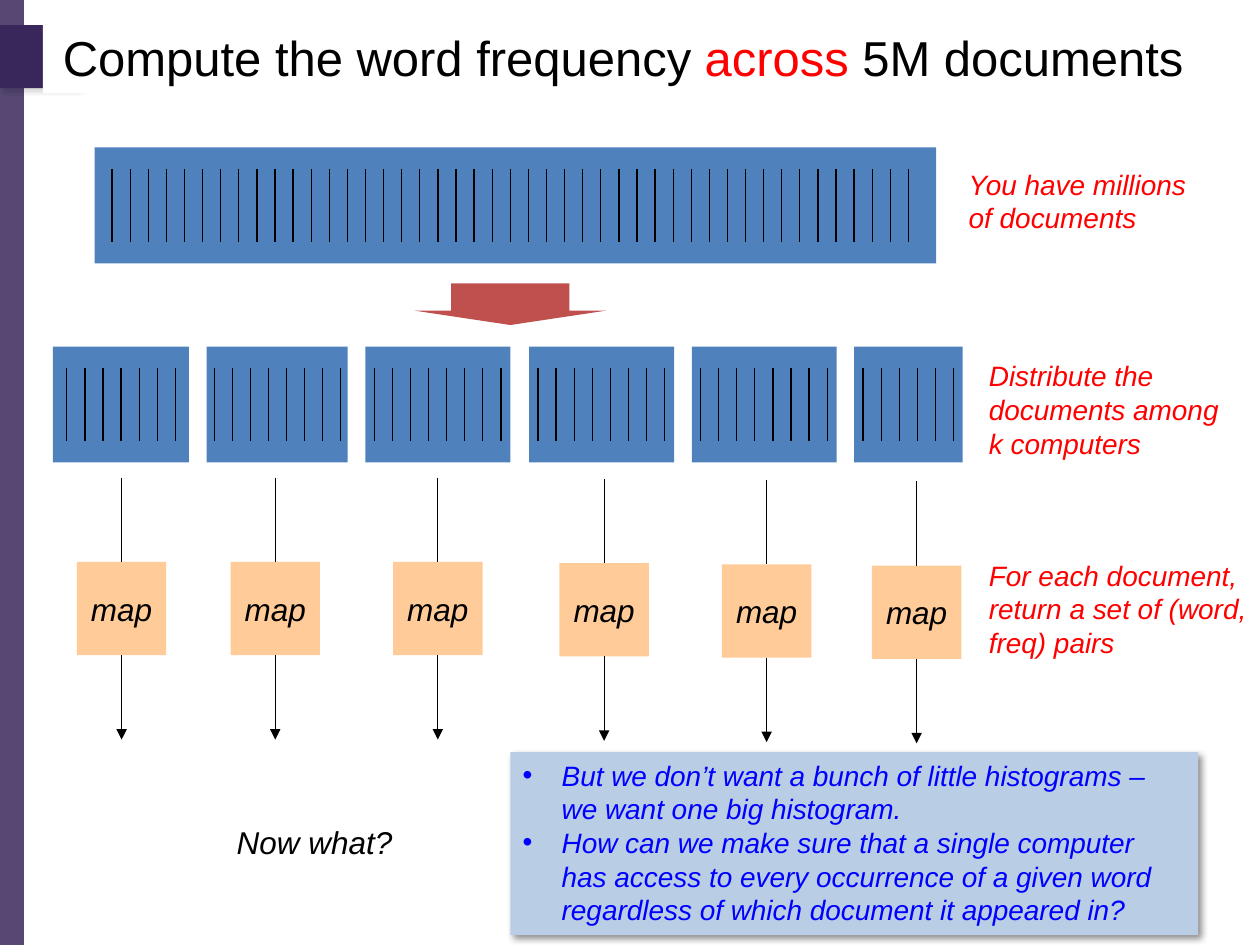
from lxml import etree
from pptx import Presentation
from pptx.dml.color import RGBColor
from pptx.enum.shapes import MSO_CONNECTOR, MSO_SHAPE
from pptx.enum.text import MSO_ANCHOR, MSO_AUTO_SIZE, PP_ALIGN
from pptx.oxml.ns import qn
from pptx.util import Inches, Pt

RECTANGLE, DOWN_ARROW = MSO_SHAPE.RECTANGLE, MSO_SHAPE.DOWN_ARROW
STRAIGHT = MSO_CONNECTOR.STRAIGHT
TOP, MIDDLE = MSO_ANCHOR.TOP, MSO_ANCHOR.MIDDLE
LEFT, CENTER = PP_ALIGN.LEFT, PP_ALIGN.CENTER
TOP_SIDE, BOTTOM_SIDE = 0, 2

BLACK = RGBColor(0x00, 0x00, 0x00)
WHITE = RGBColor(0xFF, 0xFF, 0xFF)
RED = RGBColor(0xFF, 0x00, 0x00)
BLUE = RGBColor(0x00, 0x00, 0xFF)
PURPLE = RGBColor(0x39, 0x27, 0x5B)
STEEL = RGBColor(0x4F, 0x81, 0xBD)
BRICK = RGBColor(0xC0, 0x50, 0x4D)
PEACH = RGBColor(0xFF, 0xCC, 0x99)
PALE_BLUE = RGBColor(0xB9, 0xCD, 0xE5)

TICK_STEP = 6.32 / 44
TICK_HEIGHT = 0.58
ARROW_LENGTH = 0.67
MAP_WIDTH, MAP_HEIGHT = 0.71, 0.74

# Document piles: left, width, first tick, number of ticks
PILES = [
    (0.42, 1.08, 0.53, 7),
    (1.64, 1.12, 1.70, 8),
    (2.90, 1.15, 2.97, 8),
    (4.20, 1.15, 4.27, 8),
    (5.49, 1.15, 5.56, 8),
    (6.78, 0.86, 6.85, 6),
]
# Map boxes: left, top
MAPS = [(0.61, 4.46), (1.83, 4.46), (3.12, 4.46),
        (4.44, 4.47), (5.73, 4.48), (6.92, 4.49)]
# Notes beside the rows: left, top, width, height, text
NOTES = [
    (7.59, 1.28, 2.07, 0.64, "You have millions of documents"),
    (7.75, 2.80, 2.09, 0.91, "Distribute the documents among k computers"),
    (7.75, 4.38, 2.25, 0.91,
     "For each document, return a set of (word, freq) pairs"),
]
QUESTIONS = [
    "But we don’t want a bunch of little histograms – we want one big histogram.",
    "How can we make sure that a single computer has access to every occurrence "
    "of a given word regardless of which document it appeared in?",
]


def write_text(shape, paragraphs, size=16, color=BLACK, italic=True,
               align=LEFT, anchor=TOP, wrap=True, bullet=False):
    """Each paragraph is a list of (text, colour) runs, or a plain string."""
    frame = shape.text_frame
    frame.auto_size = MSO_AUTO_SIZE.NONE
    frame.word_wrap = wrap
    frame.vertical_anchor = anchor
    for index, runs in enumerate(paragraphs):
        paragraph = frame.add_paragraph() if index else frame.paragraphs[0]
        paragraph.alignment = align
        for text, run_color in [(runs, color)] if isinstance(runs, str) else runs:
            run = paragraph.add_run()
            run.text = text
            run.font.name = "Arial"
            run.font.size = Pt(size)
            run.font.italic = italic
            run.font.color.rgb = run_color
        if bullet:
            properties = paragraph._p.get_or_add_pPr()
            properties.set("marL", str(Inches(0.31)))
            properties.set("indent", str(-Inches(0.31)))
            etree.SubElement(properties, qn("a:buFont"), typeface="Arial")
            etree.SubElement(properties, qn("a:buChar"), char="•")


def add_block(slide, left, top, width, height, color, kind=RECTANGLE):
    shape = slide.shapes.add_shape(
        kind, Inches(left), Inches(top), Inches(width), Inches(height))
    shape.shadow.inherit = False
    shape.fill.solid()
    shape.fill.fore_color.rgb = color
    shape.line.fill.background()
    return shape


def add_note(slide, left, top, width, height, text, **text_format):
    box = slide.shapes.add_textbox(
        Inches(left), Inches(top), Inches(width), Inches(height))
    write_text(box, [text], **text_format)


def add_line(slide, x, top, bottom, arrow=False):
    line = slide.shapes.add_connector(
        STRAIGHT, Inches(x), Inches(top), Inches(x), Inches(bottom))
    line.line.color.rgb = BLACK
    line.line.width = Pt(0.75)
    if arrow:
        etree.SubElement(line.line._get_or_add_ln(), qn("a:tailEnd"), type="triangle")
    etree.SubElement(line._element.spPr, qn("a:effectLst"))
    return line


def add_shadow(shape, opacity, blur, distance, angle):
    effects = shape._element.spPr.find(qn("a:effectLst"))
    shadow = etree.SubElement(
        effects, qn("a:outerShdw"), blurRad=str(Pt(blur)), dist=str(Pt(distance)),
        dir=str(angle * 60000), algn="tl", rotWithShape="0")
    color = etree.SubElement(shadow, qn("a:srgbClr"), val=str(BLACK))
    etree.SubElement(color, qn("a:alpha"), val=str(opacity * 1000))


def add_pile(slide, left, top, width, first_tick, count):
    add_block(slide, left, top, width, 0.92, STEEL)
    for index in range(count):
        add_line(slide, first_tick + index * TICK_STEP,
                 top + 0.17, top + 0.17 + TICK_HEIGHT)


def add_map(slide, left, top):
    box = add_block(slide, left, top, MAP_WIDTH, MAP_HEIGHT, PEACH)
    write_text(box, ["map"], size=18, align=CENTER, anchor=MIDDLE, wrap=False)
    center, bottom = left + MAP_WIDTH / 2, top + MAP_HEIGHT
    incoming = add_line(slide, center, top - ARROW_LENGTH, top)
    incoming.end_connect(box, TOP_SIDE)
    outgoing = add_line(slide, center, bottom, bottom + ARROW_LENGTH, arrow=True)
    outgoing.begin_connect(box, BOTTOM_SIDE)


def add_side_decoration(slide):
    band = add_block(slide, 0, 0, 0.19, 7.5, PURPLE)
    color = band._element.spPr.find(qn("a:solidFill"))[0]
    etree.SubElement(color, qn("a:alpha"), val="85000")
    tab = add_block(slide, 0, 0.2, 0.63, 0.5, PURPLE)
    add_shadow(tab, opacity=15, blur=3, distance=3, angle=60)


def place_title(slide):
    title = slide.shapes.title
    title.left, title.top = Inches(0.34), Inches(0.17)
    title.width, title.height = Inches(9.21), Inches(0.57)
    title.fill.solid()
    title.fill.fore_color.rgb = WHITE
    write_text(title, [[("Compute the word frequency ", BLACK), ("across", RED),
                        (" 5M documents", BLACK)]],
               size=28, italic=False, align=CENTER, anchor=MIDDLE)
    # The title's white ground lies over the purple tab
    title.element.getparent().append(title.element)


def main():
    presentation = Presentation()
    presentation.slide_width, presentation.slide_height = Inches(10), Inches(7.5)
    slide = presentation.slides.add_slide(presentation.slide_layouts[5])

    add_side_decoration(slide)
    place_title(slide)

    # All documents, then their distribution among computers
    add_pile(slide, 0.75, 1.17, 6.68, 0.89, 45)
    arrow = add_block(slide, 3.29, 2.25, 1.52, 0.33, BRICK, DOWN_ARROW)
    arrow.adjustments[0], arrow.adjustments[1] = 0.617, 0.346
    for left, width, first_tick, count in PILES:
        add_pile(slide, left, 2.75, width, first_tick, count)

    # Map step
    for left, top in MAPS:
        add_map(slide, left, top)

    # Notes and closing questions
    for note in NOTES:
        add_note(slide, *note, color=RED)
    add_note(slide, 1.78, 6.48, 1.61, 0.4, "Now what?", size=18)
    panel = add_block(slide, 4.05, 5.97, 5.46, 1.45, PALE_BLUE)
    add_shadow(panel, opacity=43, blur=4, distance=3, angle=45)
    write_text(panel, QUESTIONS, color=BLUE, bullet=True)

    presentation.save("out.pptx")


if __name__ == "__main__":
    main()
